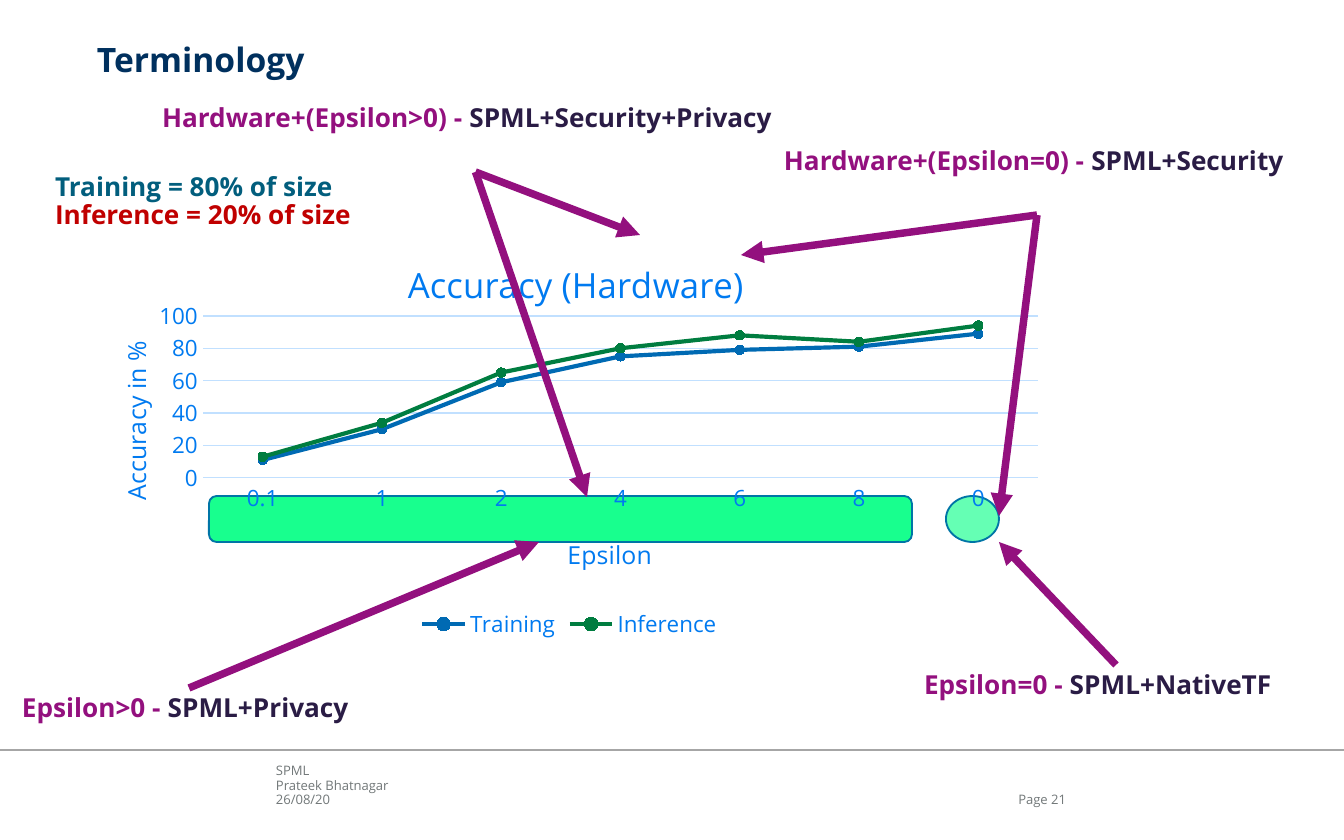
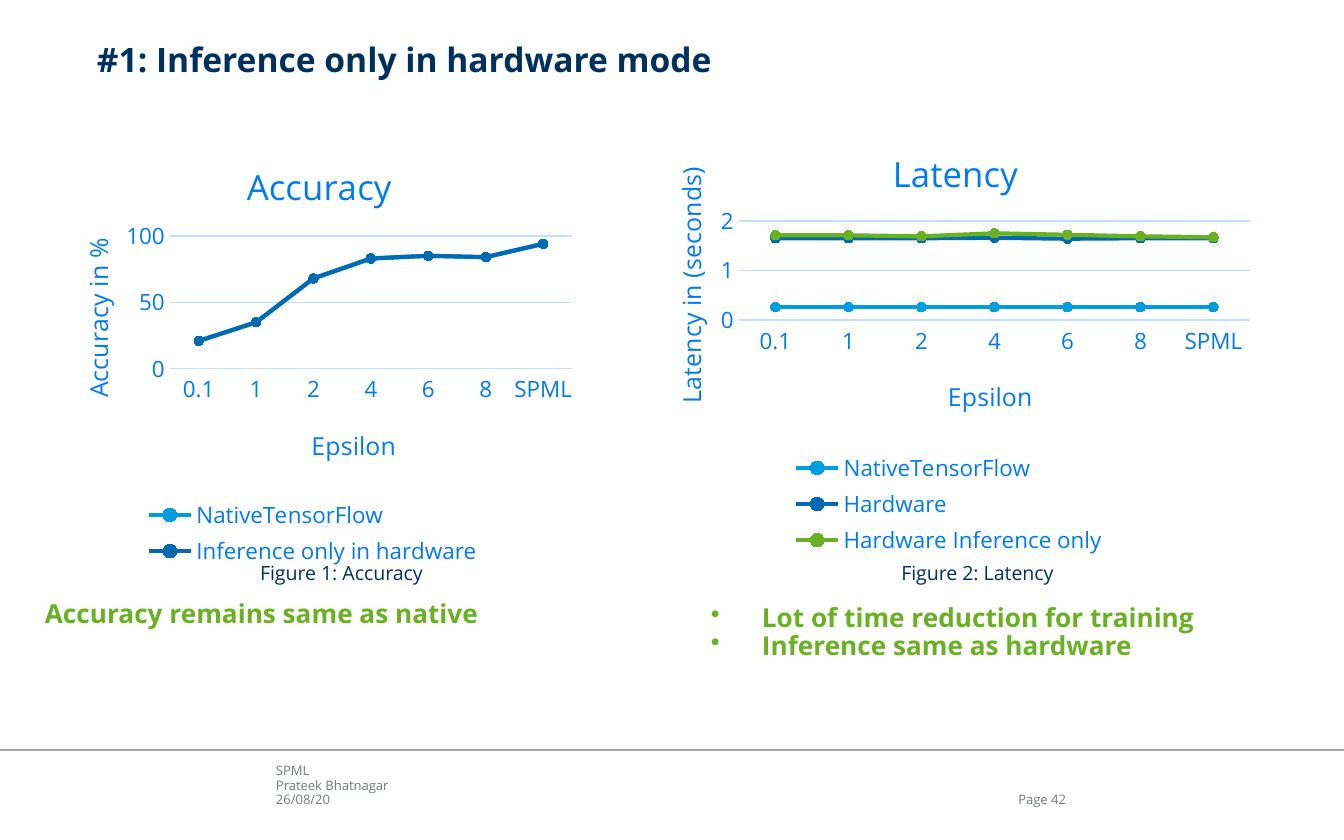
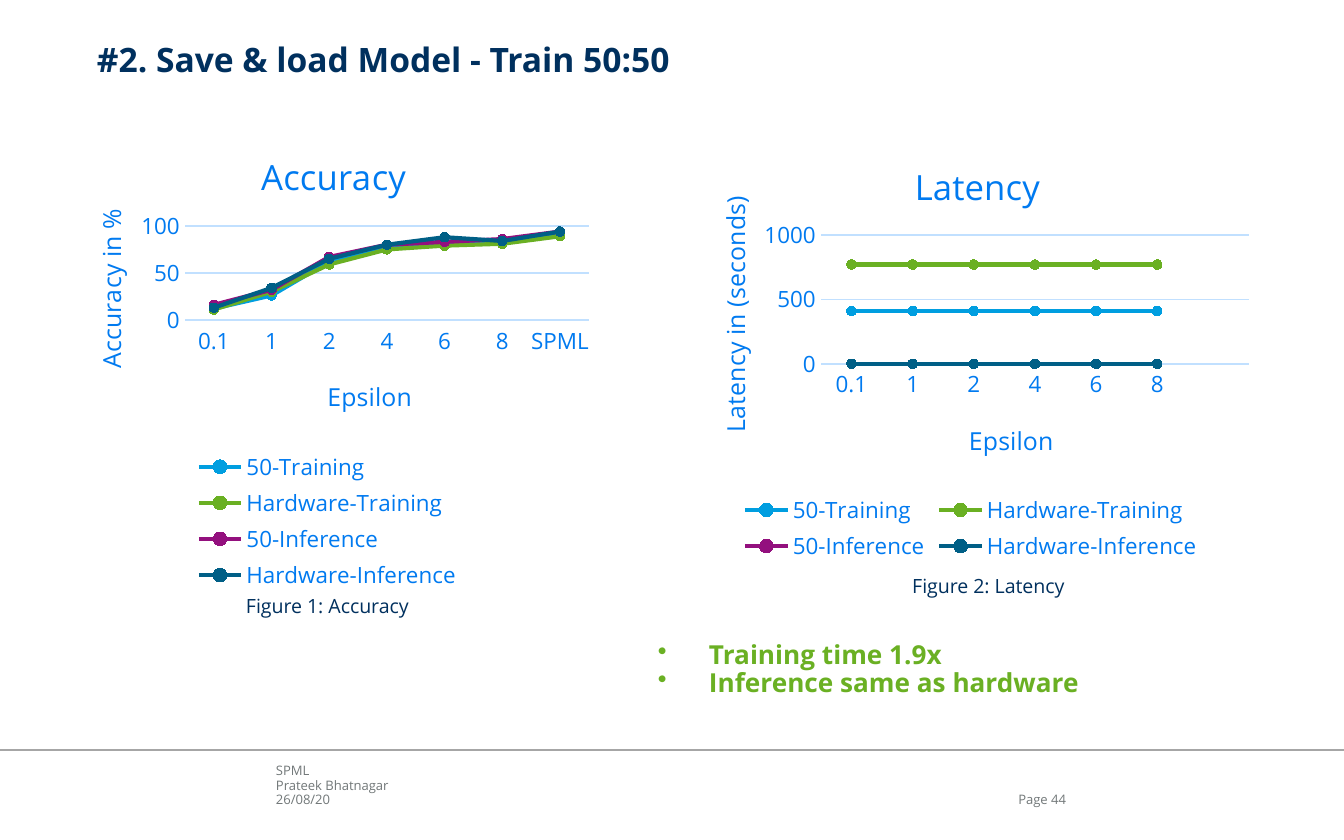
from lxml.etree import SubElement
from pptx import Presentation
from pptx.chart.data import CategoryChartData
from pptx.dml.color import RGBColor
from pptx.enum.chart import XL_CHART_TYPE as ChartType, XL_LEGEND_POSITION as LegendPosition
from pptx.enum.chart import XL_MARKER_STYLE as MarkerStyle, XL_TICK_MARK as TickMark
from pptx.enum.shapes import MSO_CONNECTOR as Connector, MSO_SHAPE as Shape
from pptx.enum.text import MSO_ANCHOR as Anchor, PP_ALIGN as Align
from pptx.oxml.ns import qn
from pptx.util import Pt

PX = 914400 / 134.4
FONT = "Open Sans"
TOP, BOTTOM = 0, 2
COLORS = {
    "navy": "00305E", "footer": "727879", "rule": "A6A6A6",
    "chart_text": "007AF0", "grid": "C1E0FF",
    "purple": "93107E", "ink": "2A1C45", "petrol": "025E7D", "red": "C00000",
    "band": "18FF8E", "spot": "65FFB4", "outline": "0075A6",
    "sky": "009EE0", "blue": "006AB3", "green": "007D40",
    "lime": "6AB023", "teal": "005F86",
}
TITLE_WIDTHS = {
    "Accuracy (Hardware)": 336, "Accuracy": 145, "Latency": 125,
    "Accuracy in %": 158, "Latency in (seconds)": 236, "Epsilon": 84,
}
EPSILONS = ["0.1", "1", "2", "4", "6", "8"]
HARDWARE_TRAINING = [11, 30, 59, 75, 79, 81, 89]
HARDWARE_INFERENCE = [13, 34, 65, 80, 88, 84, 94]
NATIVE_ACCURACY = [21, 35, 68, 83, 85, 84, 94]


def emu(px):
    return round(px * PX)


def rgb(name):
    return RGBColor.from_string(COLORS[name])


def set_font(font, size, color, bold=False):
    font.name = FONT
    font.size = Pt(size)
    font.bold = bold
    font.color.rgb = rgb(color)


def set_line(line, color, width):
    line.color.rgb = rgb(color)
    line.width = Pt(width)


def add_text(slide, box, paragraphs, size=14, color="navy", bold=False,
             align=Align.LEFT, anchor=Anchor.TOP, inset=(13, 7), bullet=False):
    area = slide.shapes.add_textbox(*map(emu, box))
    frame = area.text_frame
    frame.word_wrap = True
    frame.vertical_anchor = anchor
    frame.margin_left = frame.margin_right = emu(inset[0])
    frame.margin_top = frame.margin_bottom = emu(inset[1])
    for number, runs in enumerate(paragraphs):
        paragraph = frame.add_paragraph() if number else frame.paragraphs[0]
        paragraph.alignment = align
        paragraph.line_spacing = 0.9
        if bullet:
            properties = paragraph._p.get_or_add_pPr()
            properties.set("marL", str(emu(51)))
            properties.set("indent", str(-emu(51)))
            SubElement(properties, qn("a:buChar")).set("char", "•")
        for words, run_color in [(runs, color)] if isinstance(runs, str) else runs:
            run = paragraph.add_run()
            run.text = words
            set_font(run.font, size, run_color, bold)
    return area


def add_line(slide, start, end, color, width):
    line = slide.shapes.add_connector(Connector.STRAIGHT, *map(emu, start + end))
    set_line(line.line, color, width)
    SubElement(line._element.spPr, qn("a:effectLst"))
    return line


def add_arrow(slide, label, site, tip):
    arrow = add_line(slide, (0, 0), tip, "purple", 4)
    arrow.begin_connect(label, site)
    SubElement(arrow.line._get_or_add_ln(), qn("a:tailEnd")).set("type", "triangle")


def add_highlight(slide, kind, box, fill):
    highlight = slide.shapes.add_shape(kind, *map(emu, box))
    highlight.shadow.inherit = False
    highlight.fill.solid()
    highlight.fill.fore_color.rgb = rgb(fill)
    set_line(highlight.line, "outline", 1)


def add_page(deck, title, page):
    slide = deck.slides.add_slide(deck.slide_layouts[6])
    small = dict(size=7, color="footer", anchor=Anchor.BOTTOM, inset=(0, 0))
    add_text(slide, (276, 758, 573, 49), ["SPML", "Prateek Bhatnagar", "26/08/20"], **small)
    add_line(slide, (0, 750), (1344, 750), "rule", 1)
    add_text(slide, (988, 773, 78, 34), [f"Page {page}"], align=Align.RIGHT, **small)
    add_text(slide, (97, 43, 1167, 83), [title], size=18, bold=True, inset=(0, 0))
    return slide


def set_layout(part, size, **places):
    layout = part.find(qn("c:layout"))
    if layout is None:
        layout = part.makeelement(qn("c:layout"))
        words = part.find(qn("c:tx"))
        if words is None:
            part.insert(0, layout)
        else:
            words.addnext(layout)
    manual = SubElement(layout, qn("c:manualLayout"))
    if "w" in places:
        SubElement(manual, qn("c:layoutTarget")).set("val", "inner")
    for side in ("x", "y"):
        SubElement(manual, qn(f"c:{side}Mode")).set("val", "edge")
    for side, place in places.items():
        whole = size[0] if side in "xw" else size[1]
        SubElement(manual, qn(f"c:{side}")).set("val", str(round(place / whole, 4)))


def set_chart_title(title, words, font_size, size, x, y, upright=False):
    frame = title.text_frame
    frame.text = words
    set_font(frame.paragraphs[0].runs[0].font, font_size, "chart_text")
    if upright:
        properties = frame._txBody.bodyPr
        properties.set("rot", "-5400000")
        properties.set("vert", "horz")
    set_layout(title._element, size, x=x, y=y)


def add_line_chart(slide, box, plot, title, value_title, last_category, series,
                   top_value, step, tick_width, value_shift=10):
    data = CategoryChartData()
    data.categories = EPSILONS + [last_category]
    for name, _, values in series:
        data.add_series(name, values)
    chart = slide.shapes.add_chart(ChartType.LINE_MARKERS, *map(emu, box), data).chart
    size = box[2:]
    left, top, width, height = plot
    set_font(chart.font, 10, "navy")
    chart.has_legend = True
    chart.legend.position = LegendPosition.BOTTOM
    chart.legend.include_in_layout = False
    set_font(chart.legend.font, 12, "chart_text")

    set_chart_title(chart.chart_title, title, 18.6, size,
                    (size[0] - TITLE_WIDTHS[title]) / 2, 26)
    epsilons, values = chart.category_axis, chart.value_axis
    set_chart_title(epsilons.axis_title, "Epsilon", 13.3, size,
                    left + (width - tick_width - TITLE_WIDTHS["Epsilon"]) / 2,
                    top + height + 52)
    set_chart_title(values.axis_title, value_title, 13.3, size, 31,
                    top + (height - TITLE_WIDTHS[value_title]) / 2 + value_shift, upright=True)
    for axis in (epsilons, values):
        axis.major_tick_mark = axis.minor_tick_mark = TickMark.NONE
        set_font(axis.tick_labels.font, 12, "chart_text")
    set_line(epsilons.format.line, "grid", 0.75)
    values.format.line.fill.background()
    values.has_major_gridlines = True
    set_line(values.major_gridlines.format.line, "grid", 0.75)
    values.minimum_scale, values.maximum_scale, values.major_unit = 0, top_value, step
    values.tick_labels.number_format = "General"
    values.tick_labels.number_format_is_linked = False

    lines = chart.plots[0]
    lines.vary_by_categories = False
    for curve, (_, color, _) in zip(lines.series, series):
        curve.smooth = False
        set_line(curve.format.line, color, 2.25)
        curve.marker.style = MarkerStyle.CIRCLE
        curve.marker.size = 5
        curve.marker.format.fill.solid()
        curve.marker.format.fill.fore_color.rgb = rgb(color)
        set_line(curve.marker.format.line, color, 0.75)
    plot_area = chart._chartSpace.chart.plotArea
    set_layout(plot_area, size, x=left, y=top, w=width, h=height)


def add_caption(slide, left, top, words):
    add_text(slide, (left, top, 345, 26), [words], size=10.5, align=Align.CENTER, inset=(0, 0))


def add_findings(slide, box, findings, bullet=True):
    add_text(slide, box, findings, color="lime", bold=True, bullet=bullet)


def add_term(slide, box, condition, meaning, site, tips):
    label = add_text(slide, box, [[(f"{condition} - ", "purple"), (meaning, "ink")]], bold=True)
    for tip in tips:
        add_arrow(slide, label, site, tip)


def build_terminology(deck):
    slide = add_page(deck, "Terminology", 21)
    add_highlight(slide, Shape.ROUNDED_RECTANGLE, (209, 496, 703, 46), "band")
    add_highlight(slide, Shape.OVAL, (946, 496, 53, 46), "spot")
    add_line_chart(slide, (81, 224, 977, 421), (122, 92, 835, 162),
                   "Accuracy (Hardware)", "Accuracy in %", "0",
                   [("Training", "blue", HARDWARE_TRAINING),
                    ("Inference", "green", HARDWARE_INFERENCE)],
                   100, 20, tick_width=31, value_shift=18)
    add_term(slide, (149, 98, 653, 74), "Hardware+(Epsilon>0)", "SPML+Security+Privacy",
             BOTTOM, [(587, 497), (640, 235)])
    add_term(slide, (911, 665, 410, 46), "Epsilon=0", "SPML+NativeTF", TOP, [(999, 542)])
    add_term(slide, (9, 688, 360, 46), "Epsilon>0", "SPML+Privacy", TOP, [(539, 542)])
    add_term(slide, (771, 141, 532, 74), "Hardware+(Epsilon=0)", "SPML+Security",
             BOTTOM, [(741, 255), (999, 516)])
    add_text(slide, (42, 167, 375, 105),
             [[("Training = 80% of size", "petrol")], [("Inference = 20% of size", "red")]],
             bold=True)


def build_inference_only(deck):
    slide = add_page(deck, "#1: Inference only in hardware mode", 42)
    add_line_chart(slide, (43, 126, 540, 446), (127, 110, 402, 133),
                   "Accuracy", "Accuracy in %", "SPML",
                   [("NativeTensorFlow", "sky", NATIVE_ACCURACY),
                    ("Inference only in hardware", "blue", NATIVE_ACCURACY)],
                   100, 50, tick_width=44)
    add_findings(slide, (32, 594, 665, 46), ["Accuracy remains same as native"], bullet=False)
    add_caption(slide, 169, 564, "Figure 1: Accuracy")
    add_line_chart(slide, (636, 113, 626, 448), (103, 108, 511, 99),
                   "Latency", "Latency in (seconds)", "SPML",
                   [("NativeTensorFlow", "sky", [0.26] * 7),
                    ("Hardware", "blue", [1.65, 1.65, 1.65, 1.66, 1.64, 1.65, 1.65]),
                    ("Hardware Inference only", "lime",
                     [1.71, 1.71, 1.69, 1.75, 1.72, 1.69, 1.67])],
                   2, 1, tick_width=18)
    add_findings(slide, (698, 598, 516, 77),
                 ["Lot of time reduction for training", "Inference same as hardware"])
    add_caption(slide, 805, 564, "Figure 2: Latency")


def build_save_and_load(deck):
    slide = add_page(deck, "#2. Save & load Model - Train 50:50", 44)
    names = ["50-Training", "Hardware-Training", "50-Inference", "Hardware-Inference"]
    colors = ["sky", "lime", "purple", "teal"]
    accuracies = [[12, 26, 62, 78, 82, 83, 93], HARDWARE_TRAINING,
                  [16, 32, 67, 80, 83, 86, 94], HARDWARE_INFERENCE]
    latencies = [[seconds] * 6 + [None] for seconds in (410, 770, 0, 0)]
    add_line_chart(slide, (56, 116, 543, 480), (129, 110, 404, 94),
                   "Accuracy", "Accuracy in %", "SPML",
                   list(zip(names, colors, accuracies)), 100, 50, tick_width=44)
    add_line_chart(slide, (680, 126, 582, 441), (141, 109, 428, 129),
                   "Latency", "Latency in (seconds)", "",
                   list(zip(names, colors, latencies)), 1000, 500, tick_width=57)
    add_findings(slide, (645, 635, 650, 77), ["Training time 1.9x", "Inference same as hardware"])
    add_caption(slide, 155, 597, "Figure 1: Accuracy")
    add_caption(slide, 816, 577, "Figure 2: Latency")


def main():
    deck = Presentation()
    deck.slide_width, deck.slide_height = emu(1344), emu(840)
    build_terminology(deck)
    build_inference_only(deck)
    build_save_and_load(deck)
    deck.save("out.pptx")


if __name__ == "__main__":
    main()
